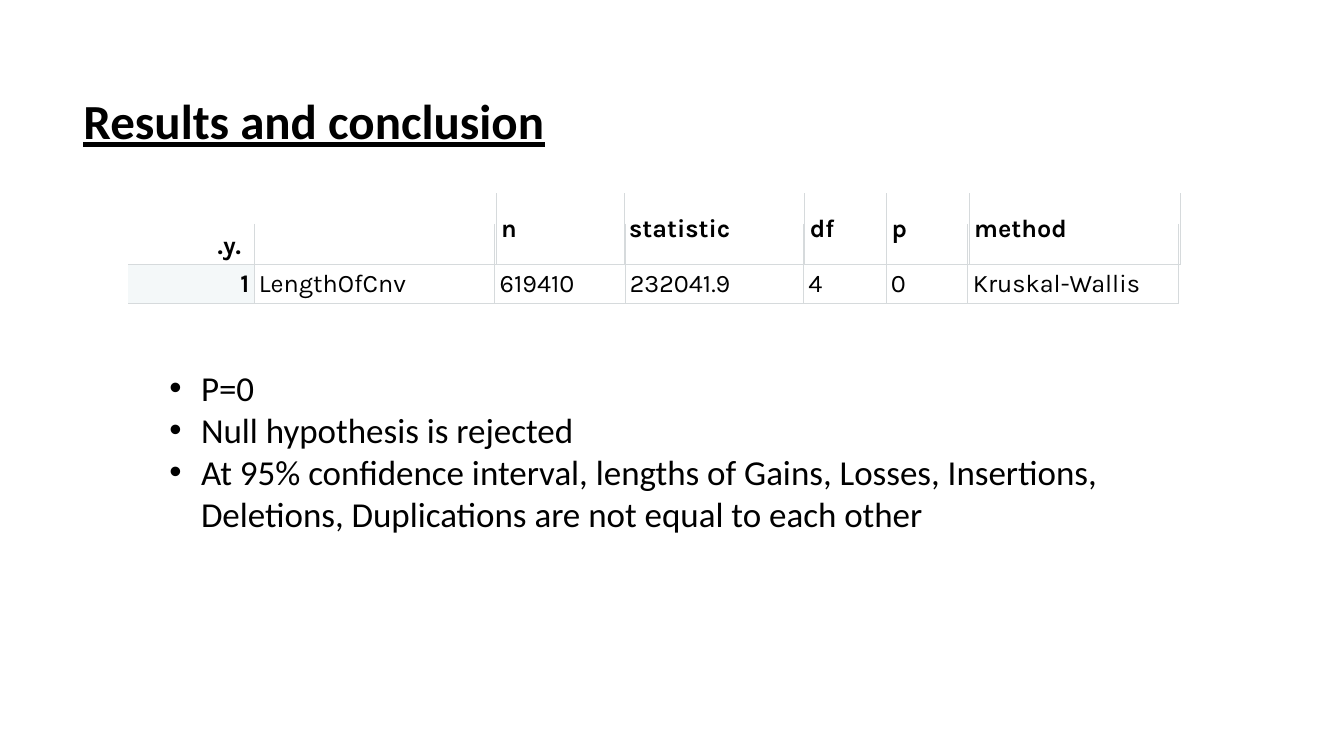
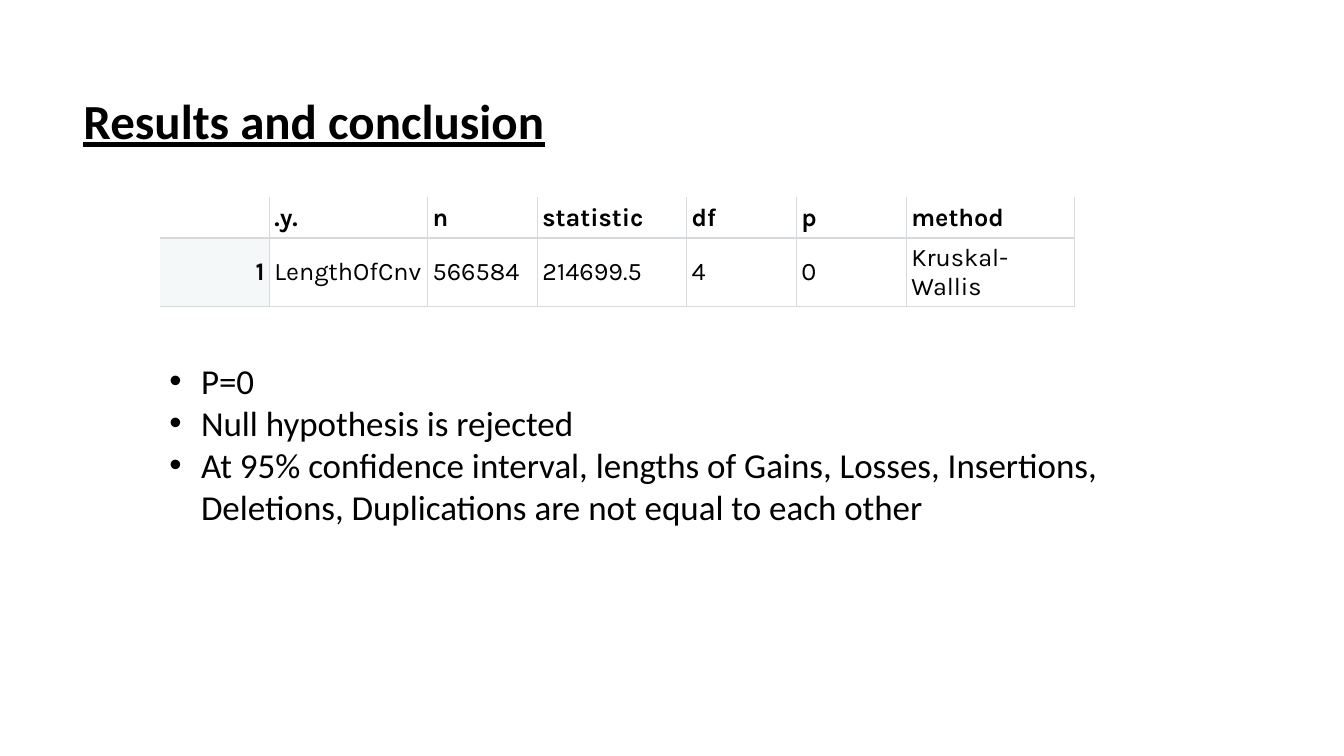
from lxml import etree
from pptx import Presentation
from pptx import util as u
from pptx.dml import color
from pptx.enum import text
from pptx.oxml import ns

BLACK = color.RGBColor(0x00, 0x00, 0x00)
GRID = color.RGBColor(0xD6, 0xDA, 0xDC)
ROW_LABEL = color.RGBColor(0xF4, 0xF8, 0xF9)

TITLE_FONT = {"name": "Calibri", "size": u.Pt(35), "bold": True, "underline": True}
BULLET_FONT = {"name": "Calibri", "size": u.Pt(25)}
CELL_FONT = {"name": "Karla", "size": u.Pt(18)}
CELL_FORMAT = {
    "margin_left": u.Pt(3.5),
    "margin_right": u.Pt(3.5),
    "margin_top": u.Pt(3),
    "margin_bottom": u.Pt(3),
    "vertical_anchor": text.MSO_ANCHOR.MIDDLE,
}
CONCLUSIONS = [
    "P=0",
    "Null hypothesis is rejected",
    "At 95% confidence interval, lengths of Gains, Losses, Insertions, "
    "Deletions, Duplications are not equal to each other",
]


def apply(target, values):
    for name, value in values.items():
        setattr(target, name, value)


def add_child(parent, tag, **attributes):
    return etree.SubElement(parent, ns.qn(tag), attributes)


class Deck:
    """Shared style and the slide being built."""

    def __init__(self):
        self.presentation = Presentation()
        apply(self.presentation, {"slide_width": u.Pt(960), "slide_height": u.Pt(540)})
        self.slide = None

    def start_slide(self, heading):
        self.slide = self.presentation.slides.add_slide(self.presentation.slide_layouts[6])
        frame = self.text_frame(52.5, 61, 373, 50)
        self.add_words(frame.paragraphs[0], heading, TITLE_FONT)

    def text_frame(self, left, top, width, height):
        box = self.slide.shapes.add_textbox(*map(u.Pt, (left, top, width, height)))
        box.text_frame.word_wrap = True
        return box.text_frame

    def add_words(self, paragraph, words, font):
        run = paragraph.add_run()
        run.text = words
        apply(run.font, font)
        run.font.color.rgb = BLACK

    def bullets(self, top, items):
        frame = self.text_frame(114, top, 726, 128)
        for index, item in enumerate(items):
            paragraph = frame.add_paragraph() if index else frame.paragraphs[0]
            properties = paragraph._p.get_or_add_pPr()
            properties.set("marL", str(u.Pt(22.5)))
            properties.set("indent", str(-u.Pt(22.5)))
            add_child(properties, "a:buFont", typeface="Arial")
            add_child(properties, "a:buChar", char="•")
            self.add_words(paragraph, item, BULLET_FONT)

    def borders(self, cell, widths):
        """Draw the sides in the order left, right, top, bottom; 0 means none."""
        properties = cell._tc.get_or_add_tcPr()
        for side, width in zip("LRTB", widths):
            line = add_child(properties, f"a:ln{side}", w=str(u.Pt(width)))
            if width:
                add_child(add_child(line, "a:solidFill"), "a:srgbClr", val=str(GRID))
            else:
                add_child(line, "a:noFill")

    def table(self, left, top, columns, heights, rows):
        """Add a grid with a bold header row and a shaded label column; return it."""
        size = (left, top, sum(columns), sum(heights))
        grid = self.slide.shapes.add_table(len(rows), len(columns), *map(u.Pt, size)).table
        apply(grid, {"first_row": False, "horz_banding": False})
        for column, width in zip(grid.columns, columns):
            column.width = u.Pt(width)
        for r, values in enumerate(rows):
            grid.rows[r].height = u.Pt(heights[r])
            for c, value in enumerate(values):
                cell = grid.cell(r, c)
                apply(cell, CELL_FORMAT)
                self.borders(cell, (0.75 if c else 0, 0.75, 1 if r else 0, 0.75 if r else 1))
                row_label = r > 0 and c == 0
                if row_label:
                    cell.fill.solid()
                    cell.fill.fore_color.rgb = ROW_LABEL
                    cell.text_frame.paragraphs[0].alignment = text.PP_ALIGN.RIGHT
                else:
                    cell.fill.background()
                if value:
                    font = {**CELL_FONT, "bold": r == 0 or row_label}
                    self.add_words(cell.text_frame.paragraphs[0], value, font)
        return grid


def main():
    deck = Deck()
    heading = "Results and conclusion"
    headers = [".y.", "n", "statistic", "df", "p", "method"]

    # First test: tall header laid over the result grid
    deck.start_slide(heading)
    deck.bullets(258, CONCLUSIONS)
    header = deck.table(152, 138, [202.5, 91.5, 129, 58.5, 59, 151], [51], [headers])
    header.cell(0, 0).vertical_anchor = text.MSO_ANCHOR.BOTTOM
    result = ["1", "LengthOfCnv", "619410", "232041.9", "4", "0", "Kruskal-Wallis"]
    deck.table(91.5, 160, [90, 172, 93, 127.5, 59, 58.5, 150.5], [29, 28],
               [[""] * len(result), result])

    # Second test: header and result in one grid
    deck.start_slide(heading)
    deck.bullets(253.5, CONCLUSIONS)
    result = ["1", "LengthOfCnv", "566584", "214699.5", "4", "0", "Kruskal-Wallis"]
    deck.table(114, 141, [78.5, 113, 78.5, 106.5, 78.5, 78.5, 120], [29, 49],
               [["", *headers], result])

    deck.presentation.save("out.pptx")


if __name__ == "__main__":
    main()
